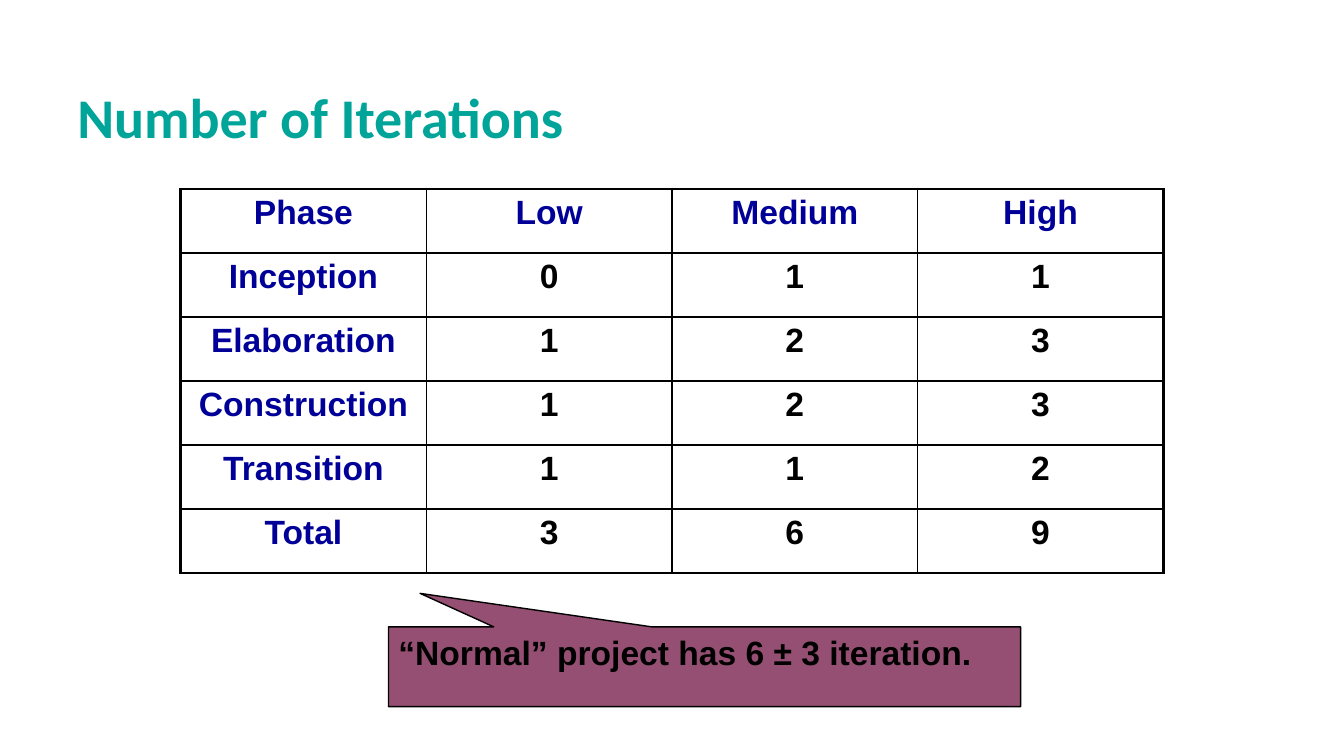
import lxml.etree
import pptx
import pptx.dml.color
import pptx.enum.shapes
import pptx.enum.text
import pptx.oxml.ns
import pptx.util

PX = 9525  # EMU per px, 96 px to the inch
TEAL = pptx.dml.color.RGBColor(0x00, 0xA4, 0x99)
NAVY = pptx.dml.color.RGBColor(0x00, 0x00, 0x99)
PLUM = pptx.dml.color.RGBColor(0x95, 0x4F, 0x72)
BLACK = pptx.dml.color.RGBColor(0x00, 0x00, 0x00)

COLUMN_WIDTH = 234
ROW_HEIGHT = 61
INNER_BORDER = 1
OUTER_BORDER = 2.25

ITERATIONS = [
    ["Phase", "Low", "Medium", "High"],
    ["Inception", "0", "1", "1"],
    ["Elaboration", "1", "2", "3"],
    ["Construction", "1", "2", "3"],
    ["Transition", "1", "1", "2"],
    ["Total", "3", "6", "9"],
]


def px(length):
    return pptx.util.Emu(length * PX)


def add_bold_run(paragraph, text, font, size, color):
    run = paragraph.add_run()
    run.text = text
    run.font.name = font
    run.font.size = pptx.util.Pt(size)
    run.font.bold = True
    run.font.color.rgb = color


def add_child(parent, tag, **attributes):
    return lxml.etree.SubElement(parent, pptx.oxml.ns.qn(tag), attributes)


def set_title(slide, text, left, top, width, height):
    title = slide.shapes.title
    title.left, title.top = px(left), px(top)
    title.width, title.height = px(width), px(height)
    title.text_frame.vertical_anchor = pptx.enum.text.MSO_ANCHOR.BOTTOM
    paragraph = title.text_frame.paragraphs[0]
    paragraph.alignment = pptx.enum.text.PP_ALIGN.LEFT
    paragraph.line_spacing = 0.9
    add_bold_run(paragraph, text, "Calibri", 40, TEAL)


def set_borders(cell, widths):
    """Draw black borders; widths maps each side's tag to points."""
    properties = cell._tc.get_or_add_tcPr()
    for position, (tag, points) in enumerate(widths.items()):
        line = add_child(properties, tag, w=str(pptx.util.Pt(points)))
        fill = add_child(line, "a:solidFill")
        add_child(fill, "a:srgbClr", val=str(BLACK))
        properties.insert(position, line)


def fill_cell(cell, text, color):
    cell.fill.background()
    paragraph = cell.text_frame.paragraphs[0]
    paragraph.alignment = pptx.enum.text.PP_ALIGN.CENTER
    spacing = add_child(paragraph._p.get_or_add_pPr(), "a:spcBef")
    add_child(spacing, "a:spcPct", val="20000")
    add_bold_run(paragraph, text, "Arial", 24, color)


def add_grid(slide, rows, left, top):
    """Add a table with a thick outer frame and navy row and column heads."""
    last_row, last_column = len(rows) - 1, len(rows[0]) - 1
    table = slide.shapes.add_table(
        len(rows), len(rows[0]), px(left), px(top),
        px(COLUMN_WIDTH * len(rows[0])), px(ROW_HEIGHT * len(rows))).table
    table.first_row = False
    table.horz_banding = False
    for column in table.columns:
        column.width = px(COLUMN_WIDTH)
    for r, values in enumerate(rows):
        table.rows[r].height = px(ROW_HEIGHT)
        for c, text in enumerate(values):
            cell = table.cell(r, c)
            fill_cell(cell, text, NAVY if r == 0 or c == 0 else BLACK)
            on_edge = {"a:lnL": c == 0, "a:lnR": c == last_column,
                       "a:lnT": r == 0, "a:lnB": r == last_row}
            set_borders(cell, {tag: OUTER_BORDER if outer else INNER_BORDER
                               for tag, outer in on_edge.items()})


def add_callout(slide, text, left, top, width, height, tip):
    callout = slide.shapes.add_shape(
        pptx.enum.shapes.MSO_SHAPE.RECTANGULAR_CALLOUT,
        px(left), px(top), px(width), px(height))
    callout.shadow.inherit = False
    callout.adjustments[0], callout.adjustments[1] = tip
    callout.fill.solid()
    callout.fill.fore_color.rgb = PLUM
    callout.line.color.rgb = BLACK
    callout.line.width = pptx.util.Pt(1)
    frame = callout.text_frame
    frame.word_wrap = True
    frame.vertical_anchor = pptx.enum.text.MSO_ANCHOR.TOP
    paragraph = frame.paragraphs[0]
    paragraph.alignment = pptx.enum.text.PP_ALIGN.LEFT
    add_bold_run(paragraph, text, "Arial", 24, BLACK)


def main():
    presentation = pptx.Presentation()
    presentation.slide_width, presentation.slide_height = px(1280), px(720)
    title_only = presentation.slide_layouts[5]
    slide = presentation.slides.add_slide(title_only)
    set_title(slide, "Number of Iterations", 64, 12, 1081, 136)
    add_grid(slide, ITERATIONS, 172, 180)
    add_callout(slide, "“Normal” project has 6 ± 3 iteration.",
                370, 597, 602, 76, tip=(-0.45, -0.92))
    presentation.save("out.pptx")


if __name__ == "__main__":
    main()
